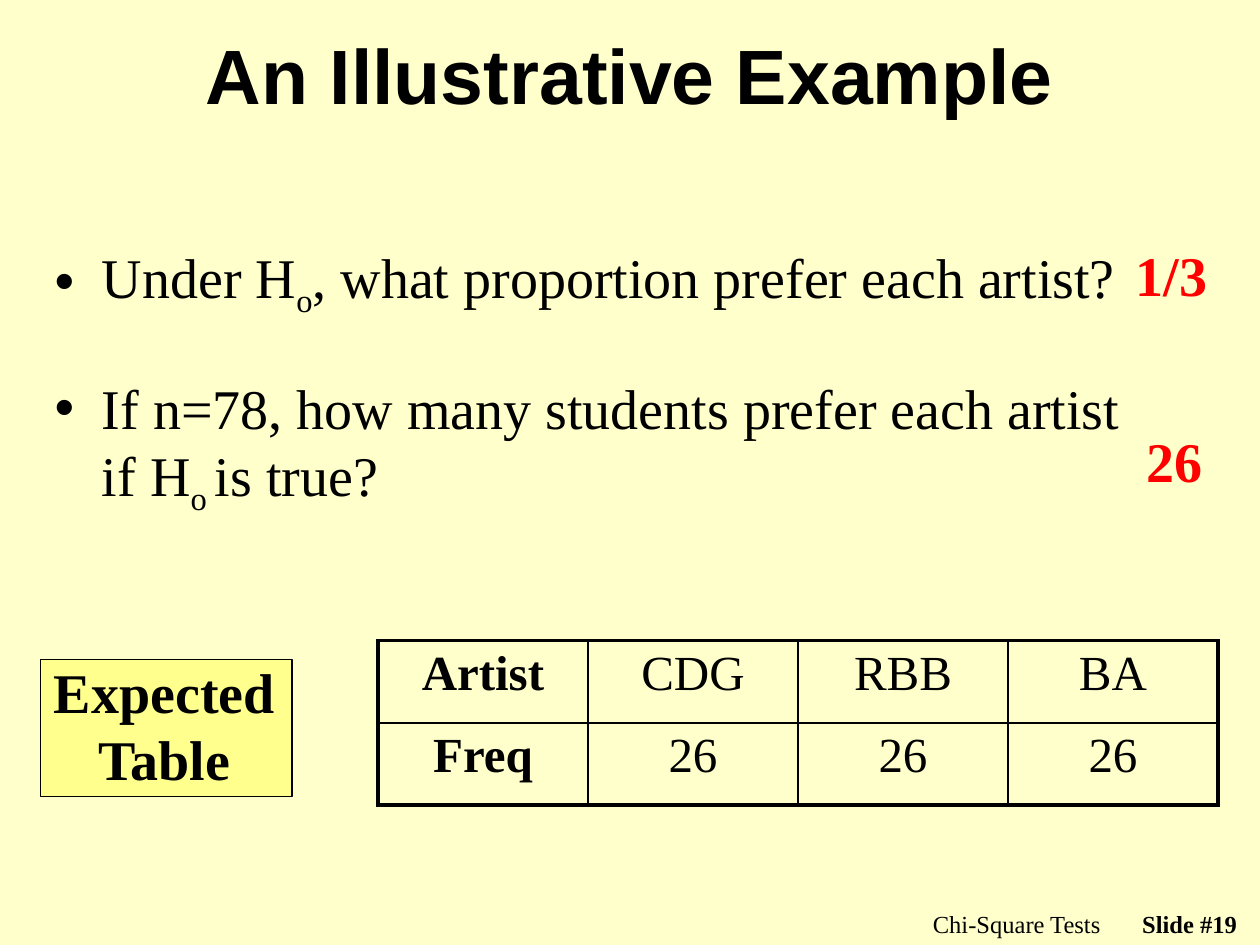
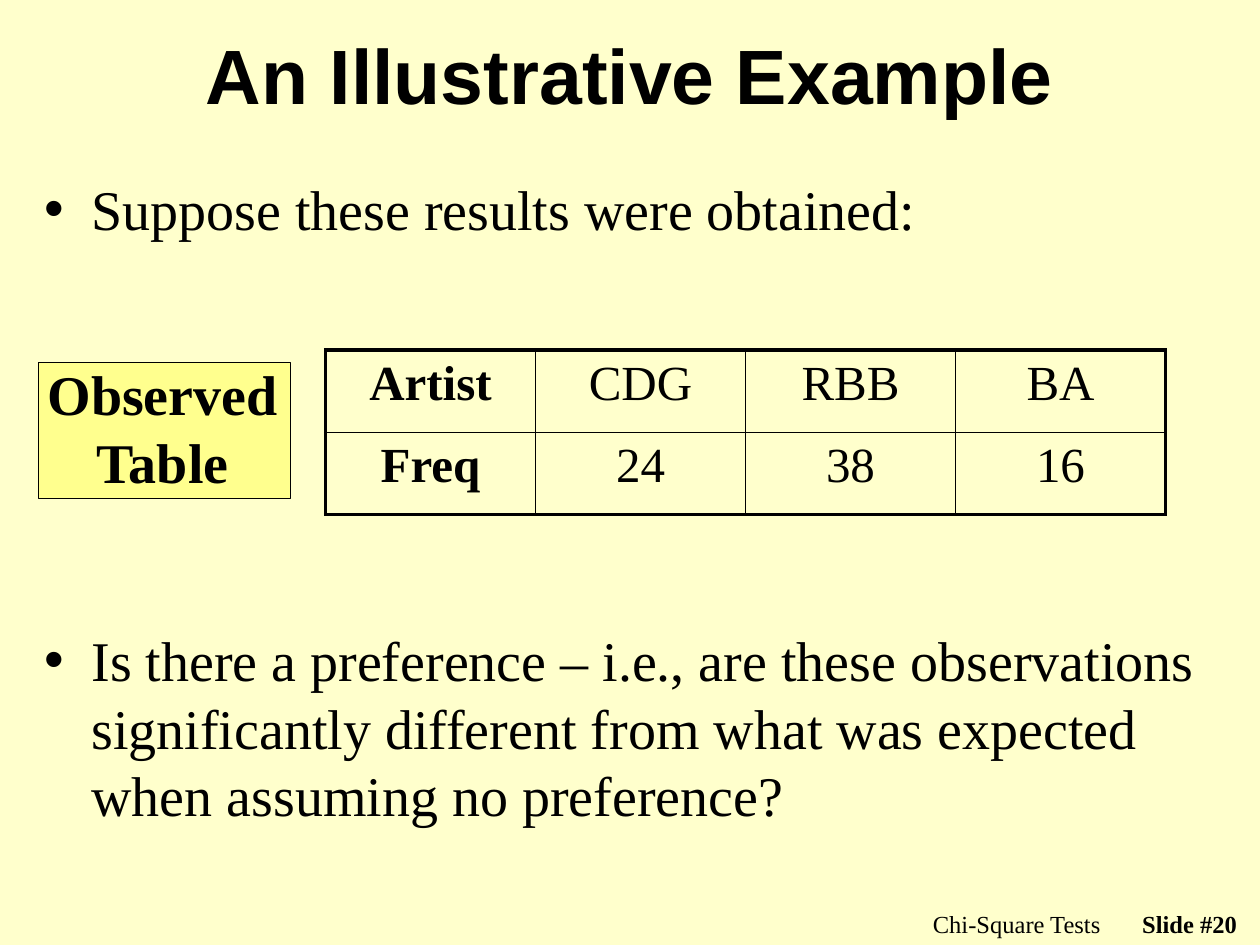
from lxml.etree import SubElement
from pptx import Presentation
from pptx.dml.color import RGBColor
from pptx.enum.shapes import MSO_SHAPE as Shape
from pptx.enum.text import MSO_ANCHOR as Anchor, MSO_AUTO_SIZE as AutoSize, PP_ALIGN as Align
from pptx.oxml.ns import qn
from pptx.util import Pt

SERIF, SANS = "Times New Roman", "Arial"
BLACK, RED, YELLOW, CREAM = "000000", "FF0000", "FFFF00", "FFFFCC"
TITLE = "An Illustrative Example"
ARTISTS = ["Artist", "CDG", "RBB", "BA"]
COL_W, ROW_H = 120, 47
THICK, THIN = 2.25, 1


def color(hex_string):
    return RGBColor.from_string(hex_string)


def style(p, size, bold=False, hex_string=BLACK, font=SERIF, align=None):
    p.font.size = Pt(size)
    p.font.bold = bold
    p.font.name = font
    p.font.color.rgb = color(hex_string)
    p.alignment = align


def place(shape, left, top, width, height):
    shape.left, shape.top = Pt(left), Pt(top)
    shape.width, shape.height = Pt(width), Pt(height)


def add_text(s, box, text, size, wrap=True, **look):
    tf = s.shapes.add_textbox(*map(Pt, box)).text_frame
    tf.word_wrap = wrap
    p = tf.paragraphs[0]
    p.text = text
    style(p, size, **look)


def add_title(s, text):
    title = s.shapes.title
    place(title, 54, 12, 612, 60)
    tf = title.text_frame
    tf.text = text
    tf.auto_size = AutoSize.NONE
    tf.vertical_anchor = Anchor.MIDDLE
    style(tf.paragraphs[0], 44, bold=True, font=SANS, align=Align.CENTER)


def add_footer(s, number):
    add_text(s, (408, 516, 228, 18), "Chi-Square Tests", 14, align=Align.RIGHT)
    add_text(s, (636, 516, 78, 12), f"Slide #{number}", 14, bold=True, align=Align.RIGHT)


def add_answer(s, left, top, width, text):
    add_text(s, (left, top, width, 46), text, 32, wrap=False, bold=True, hex_string=RED)


def fill_list(body, box, items, gap=0):
    place(body, *box)
    tf = body.text_frame
    tf.auto_size = AutoSize.NONE
    for i, parts in enumerate(items):
        p = tf.paragraphs[0] if i == 0 else tf.add_paragraph()
        for j, part in enumerate(parts):
            r = p.add_run()
            r.text = part
            if j % 2:
                r._r.get_or_add_rPr().set("baseline", "-25000")
        p.space_before = Pt(gap if i else 0)
        style(p, 32)


def add_label(s, left, top, lines):
    sp = s.shapes.add_shape(Shape.RECTANGLE, Pt(left), Pt(top), Pt(144), Pt(78))
    sp.shadow.inherit = False
    sp.fill.solid()
    sp.fill.fore_color.rgb = color(YELLOW)
    srgb = sp._element.spPr.find(qn("a:solidFill")).find(qn("a:srgbClr"))
    SubElement(srgb, qn("a:alpha")).set("val", "30000")
    sp.line.color.rgb = color(BLACK)
    sp.line.width = Pt(0.75)
    tf = sp.text_frame
    tf.word_wrap = False
    tf.vertical_anchor = Anchor.MIDDLE
    tf.margin_top, tf.margin_bottom = Pt(0), Pt(4)
    tf.margin_left, tf.margin_right = Pt(0), Pt(2)
    tf.text = "\n".join(lines)
    for p in tf.paragraphs:
        style(p, 32, bold=True, align=Align.CENTER)


def set_borders(cell, widths):
    tc_pr = cell._tc.get_or_add_tcPr()
    for side, width in widths.items():
        ln = SubElement(tc_pr, qn(f"a:ln{side}"), w=str(Pt(width)))
        fill = SubElement(ln, qn("a:solidFill"))
        SubElement(fill, qn("a:srgbClr"), val=BLACK)


def add_freq_table(s, left, top, counts):
    rows = [ARTISTS, ["Freq", *map(str, counts)]]
    n_rows, n_cols = len(rows), len(ARTISTS)
    table = s.shapes.add_table(n_rows, n_cols, Pt(left), Pt(top),
                               Pt(COL_W * n_cols), Pt(ROW_H * n_rows)).table
    table.first_row = table.horz_banding = False
    for row in table.rows:
        row.height = Pt(ROW_H)
    for i, values in enumerate(rows):
        for j, value in enumerate(values):
            cell = table.cell(i, j)
            outer = {"L": j == 0, "R": j == n_cols - 1, "T": i == 0, "B": i == n_rows - 1}
            set_borders(cell, {k: THICK if edge else THIN for k, edge in outer.items()})
            cell.fill.background()
            cell.text = value
            style(cell.text_frame.paragraphs[0], 28, bold=j == 0, align=Align.CENTER)


def add_slide(prs, layout, number):
    s = prs.slides.add_slide(prs.slide_layouts.get_by_name(layout))
    add_title(s, TITLE)
    add_footer(s, number)
    return s


def add_expected_slide(prs):
    s = add_slide(prs, "Title and Content", 19)
    fill_list(s.placeholders[1], (24, 135, 630, 176), [
        ["Under H", "o", ", what proportion prefer each artist?"],
        ["If n=78, how many students prefer each artist if H", "o ", "is true?"],
    ], gap=31)
    add_freq_table(s, 216, 366, [26, 26, 26])
    add_answer(s, 642, 134, 56, "1/3")
    add_answer(s, 648, 240, 47, "26")
    add_label(s, 23, 377, ["Expected", "Table"])


def add_observed_slide(prs):
    s = add_slide(prs, "Two Content", 20)
    fill_list(s.placeholders[1], (18, 96, 684, 48), [["Suppose these results were obtained:"]])
    add_freq_table(s, 186, 200, [24, 38, 16])
    fill_list(s.placeholders[2], (18, 354, 684, 138), [[
        "Is there a preference – i.e., are these observations significantly "
        "different from what was expected when assuming no preference?"]])
    add_label(s, 22, 207, ["Observed", "Table"])


def main():
    prs = Presentation()
    prs.slide_width, prs.slide_height = Pt(720), Pt(540)
    background = prs.slide_master.background.fill
    background.solid()
    background.fore_color.rgb = color(CREAM)
    add_expected_slide(prs)
    add_observed_slide(prs)
    prs.save("out.pptx")


if __name__ == "__main__":
    main()
